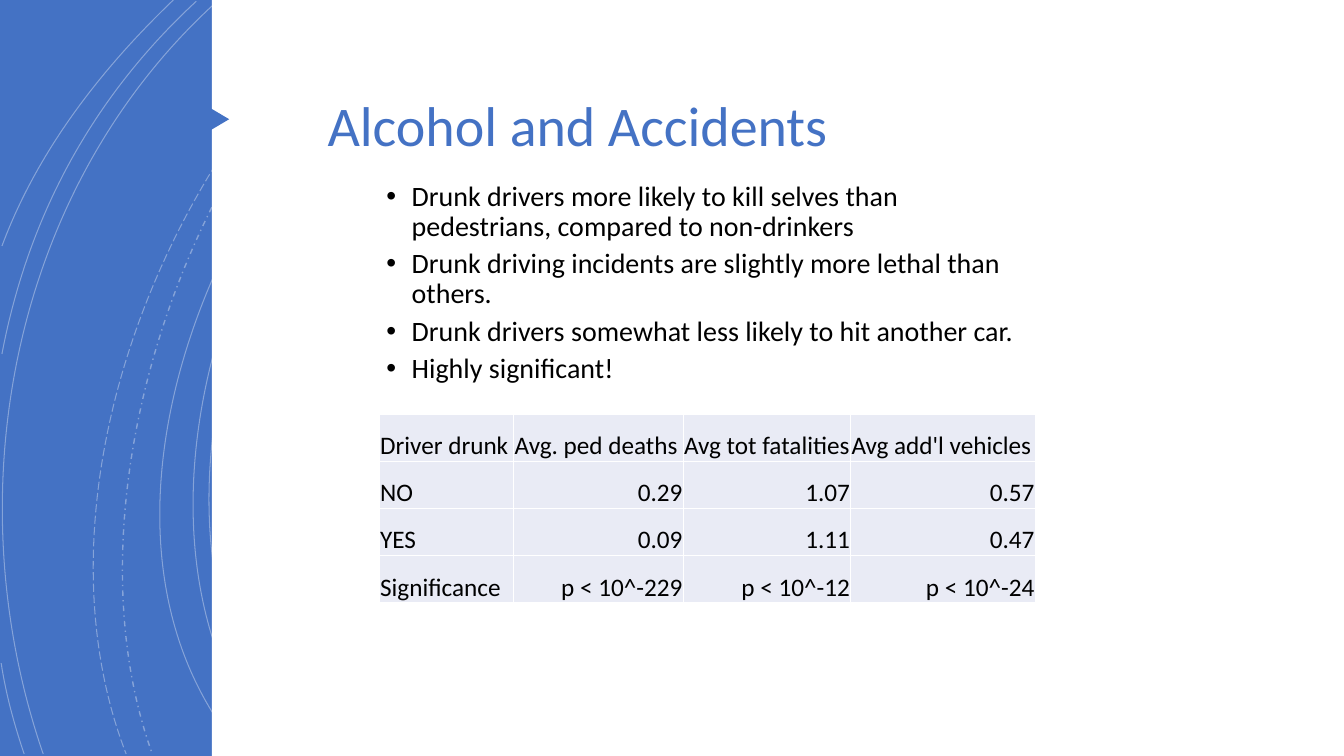
"""Build the slide on alcohol and accidents."""
import dataclasses

import pptx
import pptx.dml.color
import pptx.enum.dml
import pptx.enum.shapes
import pptx.enum.text
import pptx.oxml
import pptx.oxml.ns
import pptx.util

Cm = pptx.util.Cm
Pt = pptx.util.Pt
Dash = pptx.enum.dml.MSO_LINE
Preset = pptx.enum.shapes.MSO_SHAPE
Align = pptx.enum.text.PP_ALIGN
Anchor = pptx.enum.text.MSO_ANCHOR


@dataclasses.dataclass(frozen=True)
class Theme:
    """Colours, font and type sizes of the slide."""
    accent: str = "4472C4"
    paper: str = "FFFFFF"
    ink: str = "000000"
    cell: str = "E9EBF5"
    font: str = "Calibri"
    title_size: int = 40
    body_size: int = 20
    table_size: int = 18


THEME = Theme()

ARCS = [
    ([(11.79, 0), (6.2, 3.38), (2.79, 13.74), (7.47, 19)], 0.75, Dash.SOLID),
    ([(11.46, 0), (5.87, 3.51), (2.46, 13.54), (6.91, 19)], 0.75, Dash.SOLID),
    ([(10.85, 0), (5.51, 3.73), (1.35, 13.44), (6.12, 19)], 0.75, Dash.SOLID),
    ([(9.22, 0), (4.47, 4.22), (1.65, 12.93), (3.84, 19)], 1, Dash.DASH_DOT),
    ([(8.92, 0), (3.99, 4.29), (0.74, 12.67), (3.18, 19)], 0.75, Dash.LONG_DASH),
    ([(5.51, 0), (0.28, 4.7), (-1.17, 12.45), (1.09, 19)], 0.75, Dash.SOLID),
    ([(4.95, 0.03), (2.34, 2.44), (0.71, 5.44), (0.05, 8.92)], 0.75, Dash.SOLID),
    ([(0.03, 16.71), (0.15, 17.5), (0.36, 18.26), (0.61, 19)], 0.75, Dash.SOLID),
    ([(4.37, 0), (2.54, 1.75), (0.94, 3.81), (0.05, 6.2)], 0.75, Dash.SOLID),
]

FINDINGS = [
    "Drunk drivers more likely to kill selves than pedestrians, compared to non-drinkers",
    "Drunk driving incidents are slightly more lethal than others.",
    "Drunk drivers somewhat less likely to hit another car.",
    "Highly significant!",
]

ACCIDENT_ROWS = [
    ["Driver drunk", "Avg. ped deaths", "Avg tot fatalities", "Avg add'l vehicles"],
    ["NO", "0.29", "1.07", "0.57"],
    ["YES", "0.09", "1.11", "0.47"],
    ["Significance", "p < 10^-229", "p < 10^-12", "p < 10^-24"],
]
COLUMN_WIDTHS = [3.39, 4.27, 4.22, 4.65]


def rgb(value):
    """Turn a hex string into a colour."""
    return pptx.dml.color.RGBColor.from_string(value)


def format_text(paragraph, size, colour):
    """Set the font of every run in a paragraph."""
    for run in paragraph.runs:
        run.font.name = THEME.font
        run.font.size = Pt(size)
        run.font.color.rgb = rgb(colour)


def place(shape, left, top, width, height):
    """Move a placeholder in front of the shapes drawn so far and resize it."""
    shape.left, shape.top = Cm(left), Cm(top)
    shape.width, shape.height = Cm(width), Cm(height)
    shape.element.getparent().append(shape.element)
    frame = shape.text_frame
    frame.word_wrap = True
    frame.auto_size = pptx.enum.text.MSO_AUTO_SIZE.NONE
    frame.vertical_anchor = Anchor.TOP
    return frame


def add_block(slide, preset, left, top, width, height, colour):
    """Add a plain filled shape without an outline."""
    shape = slide.shapes.add_shape(preset, left, top, width, height)
    shape.shadow.inherit = False
    shape.fill.solid()
    shape.fill.fore_color.rgb = rgb(colour)
    shape.line.fill.background()
    return shape


def add_arc(slide, controls, width, dash):
    """Add an open, translucent cubic curve through its control points."""
    points = [(Cm(x), Cm(y)) for x, y in controls]
    builder = slide.shapes.build_freeform(*points[0])
    builder.add_line_segments(points[1:], close=False)
    shape = builder.convert_to_shape()
    segments = shape.element.xpath(".//a:lnTo")
    outline = segments[0].getparent()
    curve = outline.makeelement(pptx.oxml.ns.qn("a:cubicBezTo"), {})
    for segment in segments:
        curve.append(segment[0])
        outline.remove(segment)
    outline.append(curve)
    shape.shadow.inherit = False
    shape.fill.background()
    shape.line.color.rgb = rgb(THEME.paper)
    shape.line.width = Pt(width)
    shape.line.dash_style = dash
    for colour in shape.element.xpath(".//a:ln//a:srgbClr"):
        alpha = colour.makeelement(pptx.oxml.ns.qn("a:alpha"), {"val": "35000"})
        colour.append(alpha)


def add_title(slide, text):
    """Fill the title placeholder."""
    frame = place(slide.shapes.title, 8, 2.34, 17.3, 3.43)
    frame.text = text
    paragraph = frame.paragraphs[0]
    paragraph.alignment = Align.LEFT
    paragraph.line_spacing = 0.9
    format_text(paragraph, THEME.title_size, THEME.accent)


def add_bullets(slide, items):
    """Fill the body placeholder with a bulleted list."""
    frame = place(slide.placeholders[1], 8.22, 4.46, 18.24, 11.96)
    frame.margin_right = Cm(0.5)
    frame.text = "\n".join(items)
    for index, paragraph in enumerate(frame.paragraphs):
        paragraph.level = 1
        paragraph.line_spacing = 0.9
        paragraph.space_before = Pt(5 if index else 0)
        properties = paragraph._p.get_or_add_pPr()
        properties.set("marL", str(Cm(1.9)))
        properties.set("indent", str(Cm(-0.64)))
        for tag, name, value in (("a:buFont", "typeface", "Arial"),
                                 ("a:buChar", "char", "•")):
            properties.append(properties.makeelement(pptx.oxml.ns.qn(tag), {name: value}))
        format_text(paragraph, THEME.body_size, THEME.ink)


def format_cell(cell, alignment):
    """Set fill, borders, margins and font of a table cell."""
    cell.fill.solid()
    cell.fill.fore_color.rgb = rgb(THEME.cell)
    cell.vertical_anchor = Anchor.BOTTOM
    cell.margin_left = cell.margin_right = cell.margin_top = Cm(0.02)
    cell.margin_bottom = 0
    properties = cell._tc.get_or_add_tcPr()
    for index, side in enumerate("LRTB"):
        border = pptx.oxml.parse_xml(
            f'<a:ln{side} {pptx.oxml.ns.nsdecls("a")} w="{Pt(1)}"><a:solidFill>'
            f'<a:srgbClr val="{THEME.paper}"/></a:solidFill></a:ln{side}>')
        properties.insert(index, border)
    paragraph = cell.text_frame.paragraphs[0]
    paragraph.alignment = alignment
    format_text(paragraph, THEME.table_size, THEME.ink)


def add_data_table(slide, rows, widths, left, top, row_height):
    """Add a table whose numbers are right-aligned."""
    frame = slide.shapes.add_table(len(rows), len(widths), Cm(left), Cm(top),
                                   Cm(sum(widths)), Cm(row_height * len(rows)))
    table = frame.table
    for column, width in zip(table.columns, widths):
        column.width = Cm(width)
    for row_index, row in enumerate(rows):
        for column_index, text in enumerate(row):
            cell = table.cell(row_index, column_index)
            cell.text_frame.text = text
            is_number = row_index > 0 and column_index > 0
            format_cell(cell, Align.RIGHT if is_number else Align.LEFT)


def main():
    """Build and save the slide."""
    presentation = pptx.Presentation()
    width, height = Cm(33.87), Cm(19.05)
    presentation.slide_width, presentation.slide_height = width, height
    slide = presentation.slides.add_slide(presentation.slide_layouts[1])
    panel_left = Cm(5.34)
    add_block(slide, Preset.RECTANGLE, 0, 0, width, height, THEME.accent)
    for controls, line_width, dash in ARCS:
        add_arc(slide, controls, line_width, dash)
    add_block(slide, Preset.RECTANGLE, panel_left, 0, width - panel_left, height, THEME.paper)
    add_title(slide, "Alcohol and Accidents")
    pointer = add_block(slide, Preset.ISOSCELES_TRIANGLE,
                        Cm(5), Cm(2.65), Cm(0.84), Cm(0.71), THEME.accent)
    pointer.rotation = 90
    add_bullets(slide, FINDINGS)
    add_data_table(slide, ACCIDENT_ROWS, COLUMN_WIDTHS, 9.56, 10.43, 1.19)
    presentation.save("out.pptx")


if __name__ == "__main__":
    main()
